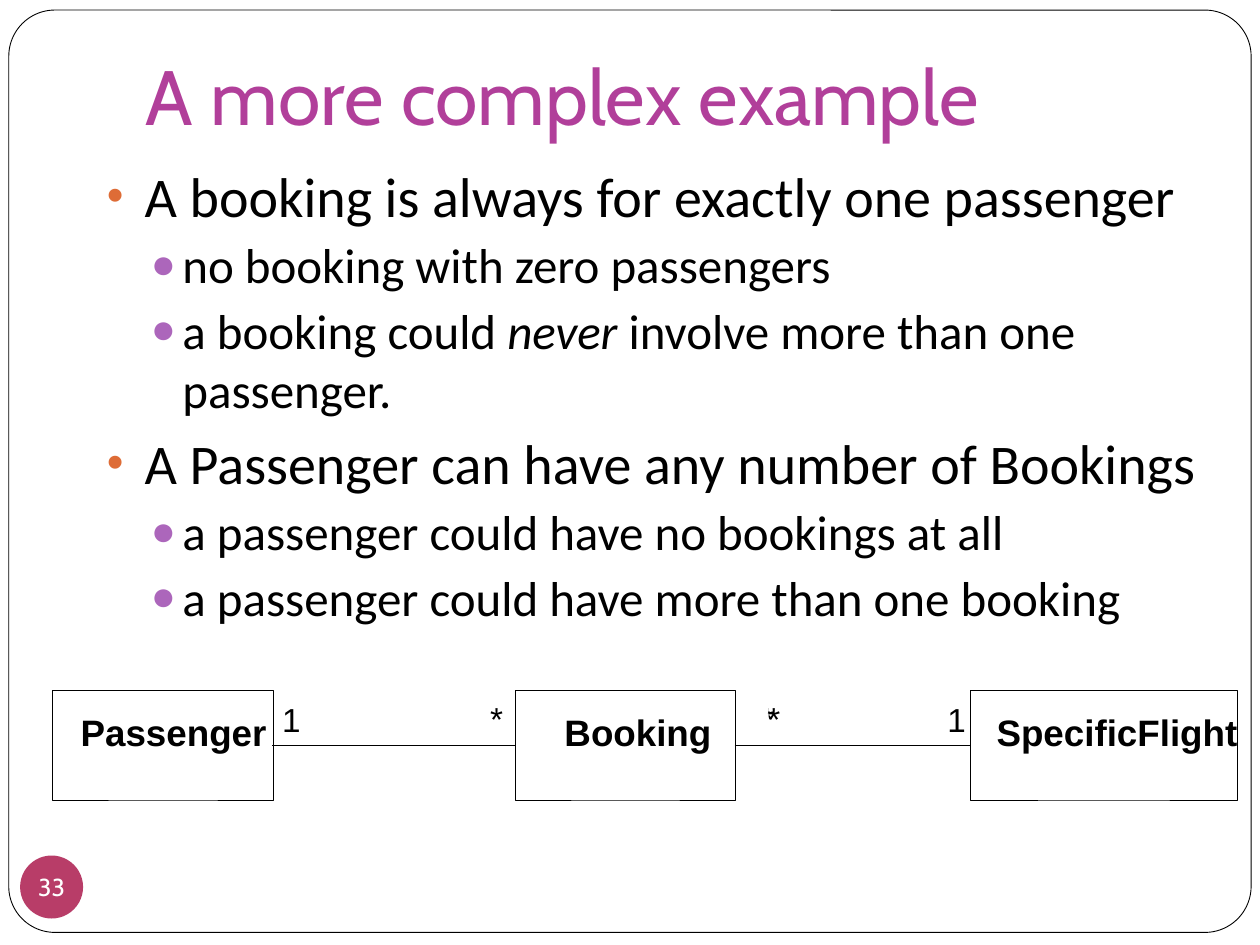
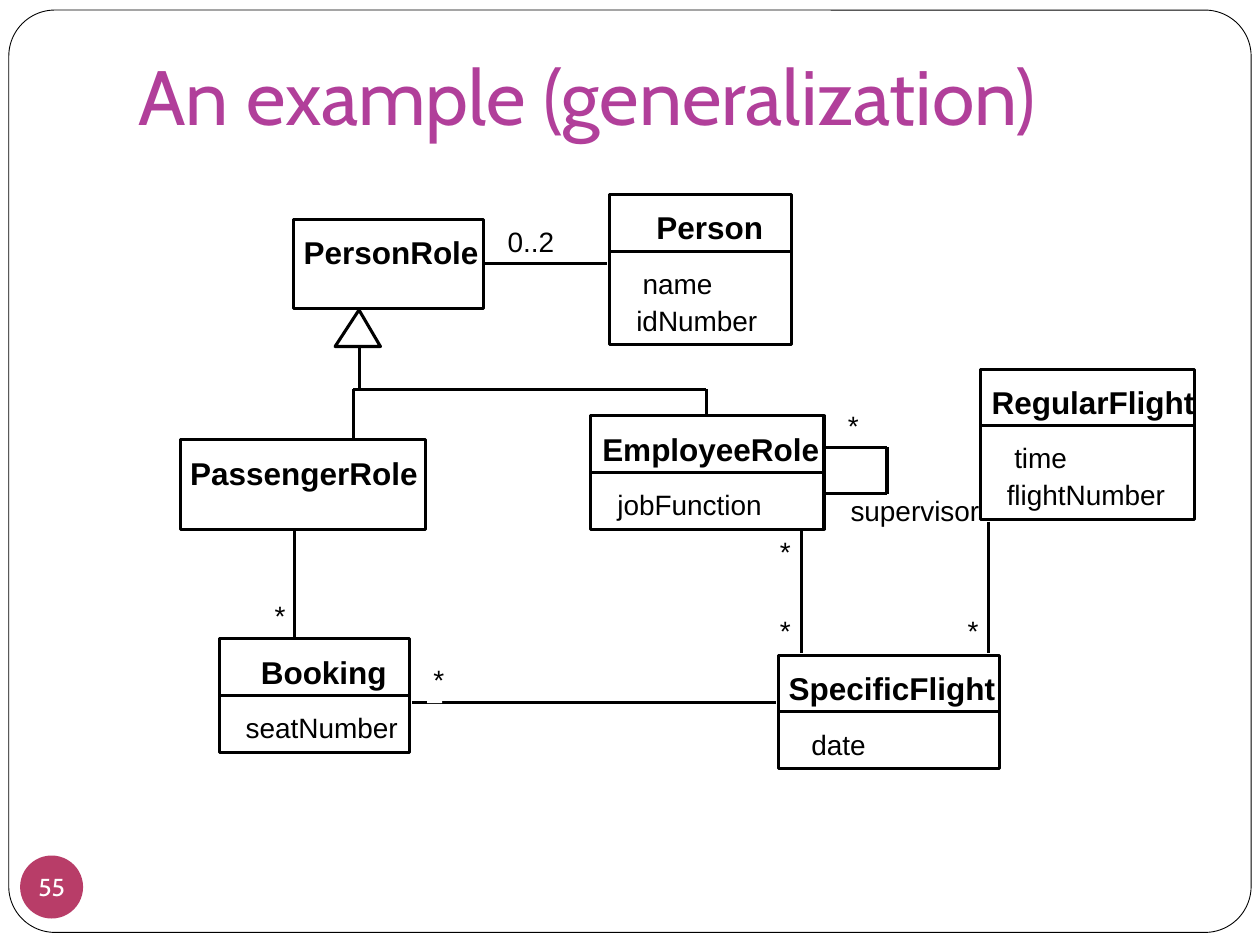
import dataclasses
import itertools

import lxml.etree
import pptx
import pptx.dml.color
import pptx.enum.shapes
import pptx.enum.text
import pptx.oxml.ns
import pptx.util

Pt = pptx.util.Pt
Shapes = pptx.enum.shapes.MSO_SHAPE
Anchor = pptx.enum.text.MSO_ANCHOR
Align = pptx.enum.text.PP_ALIGN


@dataclasses.dataclass(frozen=True)
class Theme:
    ink: str = "000000"
    paper: str = "FFFFFF"
    title: str = "B13F9A"
    badge: str = "B83D68"
    title_font: str = "Cabin"
    body_font: str = "Calibri"
    diagram_font: str = "Arial"
    title_size: int = 44
    badge_size: int = 14
    frame_line: float = 0.5


@dataclasses.dataclass(frozen=True)
class Level:
    """Look of one outline level; lengths in grid columns."""
    size: int
    space_before: float
    indent: float
    hang: float
    bullet: str
    bullet_color: str


@dataclasses.dataclass(frozen=True)
class DiagramStyle:
    """Type sizes in points and offsets inside a diagram in grid cells."""
    name_size: int
    label_size: int
    line: float
    name_row: float
    patch_offset: float
    divider_row: float = 4.5
    attribute_row: float = 5.7
    attribute_step: float = 2.9


THEME = Theme()
LEVELS = (
    Level(32, 5.8, 3, 3, "•", "DE6C36"),
    Level(28, 3.7, 6, 2.5, "●", "AC66BB"),
)
SIMPLE = DiagramStyle(name_size=21, label_size=19, line=0.5, name_row=1.5,
                      patch_offset=1.1)
DETAILED = DiagramStyle(name_size=18, label_size=16, line=1.75, name_row=1.1,
                        patch_offset=0.5)

# The slide is a grid of 100 columns by 75 rows of square cells.
COLUMNS, ROWS = 100, 75
CELL = pptx.util.Inches(10) // COLUMNS
CELLS_PER_POINT = 10 / 72
LETTER_WIDTH = 0.65

BOOKING_RULES = (
    (0, "A booking is always for exactly one passenger"),
    (1, "no booking with zero passengers"),
    (1, "a booking could *never* involve more than one passenger."),
    (0, "A Passenger can have any number of Bookings"),
    (1, "a passenger could have no bookings at all"),
    (1, "a passenger could have more than one booking"),
)

# Name, place (column, row, width, height), name offset, attributes with offset
BOOKING_CLASSES = (
    ("Passenger", (4.2, 54.8, 17.5, 8.7), 2.2, ()),
    ("Booking", (40.9, 54.8, 17.5, 8.7), 3.9, ()),
    ("SpecificFlight", (77, 54.8, 21.2, 8.7), 2.1, ()),
)
BOOKING_LINKS = (
    ((21.6, 59.2), (40.9, 59.2)),
    ((58.3, 59.2), (77, 59.2)),
)
BOOKING_LABELS = (("1", 22.4, 55.5), ("1", 75.2, 55.5))
BOOKING_STARS = ((38.9, 55.4), (60.4, 55.4), (60.9, 55.4))

ROLE_CLASSES = (
    ("PersonRole", (23.3, 17.4, 15.1, 7.1), 0.8, ()),
    ("Person", (48.4, 15.45, 14.4, 11.9), 3.7,
     (("name", 2.6), ("idNumber", 2.1))),
    ("RegularFlight", (77.8, 29.3, 17, 11.9), 0.9,
     (("time", 2.7), ("flightNumber", 2.1))),
    ("PassengerRole", (14.3, 34.9, 19.5, 7.1), 0.8, ()),
    ("EmployeeRole", (46.9, 33, 18.5, 9), 0.9, (("jobFunction", 2.1),)),
    ("Booking", (17.4, 50.7, 15.1, 9), 3.3, (("seatNumber", 2.1),)),
    ("SpecificFlight", (61.8, 52, 17.5, 9), 0.8, (("date", 2.6),)),
)
ROLE_LINKS = (
    ((38.5, 20.9), (48.2, 20.9)),
    ((65.5, 35.5), (70.4, 35.5), (70.4, 39.2), (65.5, 39.2)),
    ((63.6, 42.1), (63.6, 51.8)),
    ((78.45, 41.4), (78.45, 51.8)),
    ((23.4, 42.1), (23.4, 50.6)),
    ((32.7, 55.75), (61.6, 55.75)),
    ((28.5, 24.6), (28.5, 30.9), (56.05, 30.9), (56.05, 32.9)),
    ((28.5, 30.9), (28.05, 30.9), (28.05, 34.8)),
)
ROLE_LABELS = (("0..2", 40.3, 17.8), ("supervisor", 67.5, 39.2),
               ("*", 67.3, 32.4))
ROLE_STARS = ((61.9, 42.4), (61.9, 48.7), (21.8, 47.5), (34.4, 52.6),
              (76.8, 48.7))
GENERALIZATION = ((28.5, 24.6), (30.2, 27.5), (26.6, 27.5))


def cells(*counts):
    return [round(count * CELL) for count in counts]


def apply(target, **formats):
    for name, value in formats.items():
        setattr(target, name, value)


def color(value):
    return pptx.dml.color.RGBColor.from_string(value)


def paint(shape, fill=None, line=None, width=0.0):
    """Set fill and outline; None leaves that part empty."""
    shape.shadow.inherit = False
    if fill:
        shape.fill.solid()
        shape.fill.fore_color.rgb = color(fill)
    else:
        shape.fill.background()
    if line:
        shape.line.color.rgb = color(line)
        shape.line.width = Pt(width)
    else:
        shape.line.fill.background()


def add_span(para, text, font, size, ink=THEME.ink, **formats):
    span = para.add_run()
    span.text = text
    apply(span.font, name=font, size=Pt(size), **formats)
    span.font.color.rgb = color(ink)


def set_frame(frame, margins=(0, 0, 0, 0), **formats):
    sides = ("margin_left", "margin_top", "margin_right", "margin_bottom")
    apply(frame, **dict(zip(sides, cells(*margins))), **formats)


def add_shape(page, kind, place, **look):
    shape = page.shapes.add_shape(kind, *cells(*place))
    paint(shape, **look)
    return shape


def add_label(page, text, column, row, size, bold=False):
    """One line of text in a box wide enough for its letters."""
    height = size * CELLS_PER_POINT
    width = len(text) * height * LETTER_WIDTH
    box = page.shapes.add_textbox(*cells(column, row, width, height * 1.2))
    set_frame(box.text_frame, word_wrap=True)
    add_span(box.text_frame.paragraphs[0], text, THEME.diagram_font, size,
             bold=bold)


def add_star(page, style, column, row):
    """Multiplicity mark on a paper-coloured patch."""
    add_shape(page, Shapes.RECTANGLE,
              (column - style.patch_offset, row, 1.2, 3.2), fill=THEME.paper)
    add_label(page, "*", column, row, style.label_size)


def add_link(page, points, width):
    for start, end in itertools.pairwise(points):
        line = page.shapes.add_connector(
            pptx.enum.shapes.MSO_CONNECTOR.STRAIGHT, *cells(*start, *end))
        line.line.color.rgb = color(THEME.ink)
        line.line.width = Pt(width)
        lxml.etree.SubElement(line._element.spPr,
                              pptx.oxml.ns.qn("a:effectLst"))


def add_class(page, style, name, place, name_offset, attributes):
    column, row, width, _ = place
    add_shape(page, Shapes.RECTANGLE, place, line=THEME.ink, width=style.line)
    add_label(page, name, column + name_offset, row + style.name_row,
              style.name_size, bold=True)
    if attributes:
        divider = row + style.divider_row
        add_link(page, ((column, divider), (column + width, divider)),
                 style.line)
    for index, (attribute, offset) in enumerate(attributes):
        add_label(page, attribute, column + offset,
                  row + style.attribute_row + index * style.attribute_step,
                  style.label_size)


def add_diagram(page, style, classes, links, labels, stars):
    for points in links:
        add_link(page, points, style.line)
    for star in stars:
        add_star(page, style, *star)
    for entry in classes:
        add_class(page, style, *entry)
    for label in labels:
        add_label(page, *label, style.label_size)


def add_triangle(page, corners, width):
    first, *others = [cells(*corner) for corner in corners]
    builder = page.shapes.build_freeform(*first)
    builder.add_line_segments(others, close=True)
    paint(builder.convert_to_shape(), THEME.paper, THEME.ink, width)


def add_bullet(para, level):
    properties = para._p.get_or_add_pPr()
    indent, hang = cells(level.indent, level.hang)
    properties.set("marL", str(indent))
    properties.set("indent", str(-hang))
    qn = pptx.oxml.ns.qn
    tint = lxml.etree.SubElement(properties, qn("a:buClr"))
    lxml.etree.SubElement(tint, qn("a:srgbClr"), val=level.bullet_color)
    lxml.etree.SubElement(properties, qn("a:buSzPct"), val="85000")
    lxml.etree.SubElement(properties, qn("a:buFont"), typeface="Arial")
    lxml.etree.SubElement(properties, qn("a:buChar"), char=level.bullet)


def add_outline(page, items, place):
    """Bulleted text; words between asterisks are italic."""
    box = page.shapes.add_textbox(*cells(*place))
    frame = box.text_frame
    set_frame(frame, (1, 0.5, 1, 0.5), word_wrap=True)
    for index, (depth, text) in enumerate(items):
        para = frame.add_paragraph() if index else frame.paragraphs[0]
        level = LEVELS[depth]
        apply(para, level=depth, space_before=Pt(level.space_before))
        add_bullet(para, level)
        for position, piece in enumerate(text.split("*")):
            add_span(para, piece, THEME.body_font, level.size,
                     italic=position % 2 == 1)


def add_page(deck, title, number, title_column, align):
    """Blank slide with the shared frame, number badge and title."""
    page = deck.slides.add_slide(deck.slide_layouts[6])
    border = add_shape(page, Shapes.ROUNDED_RECTANGLE, (0.7, 0.8, 98.6, 73.2),
                       fill=THEME.paper, line=THEME.ink,
                       width=THEME.frame_line)
    border.adjustments[0] = 0.05

    badge = add_shape(page, Shapes.OVAL, (1.6, 67.9, 5, 5), fill=THEME.badge)
    set_frame(badge.text_frame, word_wrap=False, vertical_anchor=Anchor.MIDDLE)
    para = badge.text_frame.paragraphs[0]
    para.alignment = Align.CENTER
    add_span(para, str(number), THEME.title_font, THEME.badge_size,
             THEME.paper)

    box = page.shapes.add_textbox(*cells(title_column, -0.3, 85, 12.5))
    set_frame(box.text_frame, (1, 0.5, 1, 1), word_wrap=True,
              vertical_anchor=Anchor.BOTTOM)
    para = box.text_frame.paragraphs[0]
    para.alignment = align
    add_span(para, title, THEME.title_font, THEME.title_size, THEME.title)
    return page


def main():
    deck = pptx.Presentation()
    apply(deck, slide_width=COLUMNS * CELL, slide_height=ROWS * CELL)

    page = add_page(deck, "A more complex example", 33, 10.6, Align.LEFT)
    add_outline(page, BOOKING_RULES, (7.5, 12.3, 90.6, 60.6))
    add_diagram(page, SIMPLE, BOOKING_CLASSES, BOOKING_LINKS, BOOKING_LABELS,
                BOOKING_STARS)

    page = add_page(deck, "An example (generalization)", 55, 10, Align.JUSTIFY)
    add_diagram(page, DETAILED, ROLE_CLASSES, ROLE_LINKS, ROLE_LABELS,
                ROLE_STARS)
    add_triangle(page, GENERALIZATION, DETAILED.line)

    deck.save("out.pptx")


if __name__ == "__main__":
    main()
